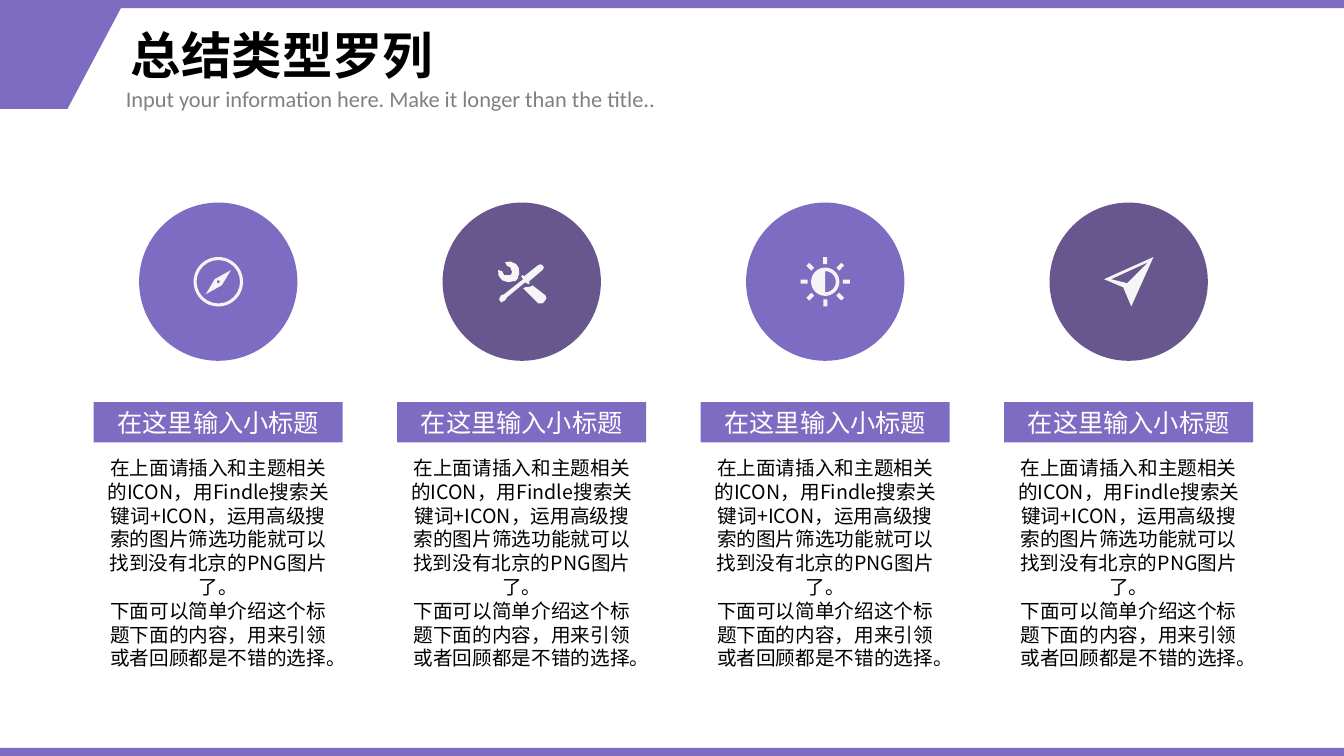
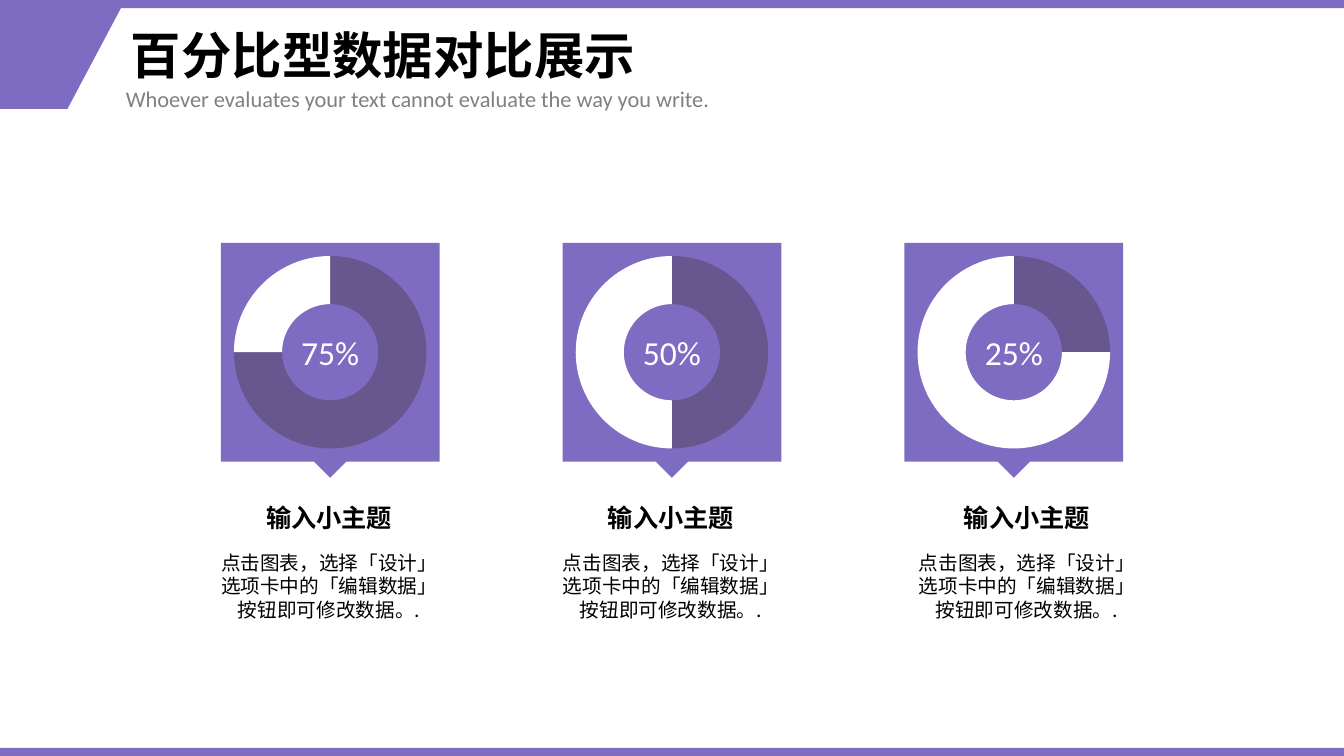
from math import cos, radians, sin

from pptx import Presentation
from pptx.chart.data import CategoryChartData
from pptx.dml.color import RGBColor
from pptx.enum.chart import XL_CHART_TYPE
from pptx.enum.shapes import MSO_SHAPE
from pptx.enum.text import MSO_ANCHOR, MSO_AUTO_SIZE, PP_ALIGN
from pptx.oxml import parse_xml
from pptx.oxml.ns import nsdecls, qn
from pptx.util import Inches, Pt

PURPLE = RGBColor(0x7E, 0x6C, 0xC3)
DARK_PURPLE = RGBColor(0x68, 0x57, 0x8F)
PALE = RGBColor(0xF5, 0xF5, 0xF5)
WHITE = RGBColor(0xFF, 0xFF, 0xFF)
BLACK = RGBColor(0, 0, 0)
GRAY = RGBColor(0x80, 0x80, 0x80)
CJK = "Noto Sans CJK SC"
LATIN = "Calibri"
WIDTH, HEIGHT, BAND = 13.33, 7.5, 0.08
COLUMN_WIDTH = 2.47

# Icon outlines, in hundredths of an inch on a 49 by 49 grid
ICON_SIZE = 0.49
MIDDLE = 24.5
NEEDLE = [(12, 37), (28, 28), (37, 13), (21, 22)]
WRENCH_HEAD = [(5, 23), (11, 25), (16, 24), (18, 24), (21, 21), (21, 19), (22, 17),
               (21.6, 11), (19, 7), (13.5, 4.5), (8, 5), (10, 9), (13, 10), (15, 15),
               (14, 17), (13, 18), (7, 18), (5, 14), (1, 13), (1.5, 18.5)]
WRENCH_HANDLE = [(48, 38), (35, 28), (34, 29), (30, 30), (28, 30), (26, 31),
                 (41, 46), (45, 46), (47, 44), (49, 41)]
SCREWDRIVER = [(29, 26), (32, 27), (32, 24), (45, 13), (46.5, 10.5), (45, 8), (43, 7.3),
               (41, 8), (27, 19), (25, 18), (24, 19.5), (25, 21), (26, 22), (7, 37),
               (4, 38), (2, 42), (4, 45), (8, 43), (10, 40), (28, 25)]
PLANE = [(0, 22), (19, 30), (27, 49), (49, 0)]
PLANE_FOLD = [(23, 26), (7, 22), (44, 5)]


def arc(radius, start=0, end=360):
    """Points along an arc around the middle of the icon grid, 0 being to the right."""
    return [(MIDDLE + radius * cos(radians(a)), MIDDLE + radius * sin(radians(a)))
            for a in range(start, end + 1, 10)]


class Deck:
    def __init__(self):
        self.prs = Presentation()
        self.prs.slide_width = Inches(WIDTH)
        self.prs.slide_height = Inches(HEIGHT)
        self.slide = None

    def new_slide(self, title, subtitle):
        self.slide = self.prs.slides.add_slide(self.prs.slide_layouts[6])
        self.outline([[(0, BAND), (1.2, BAND), (0.67, 1.08), (0, 1.08)]], PURPLE)
        for top in (0, HEIGHT - BAND):
            self.shape(MSO_SHAPE.RECTANGLE, 0, top, WIDTH, BAND, PURPLE)
        heading = self.text(1.2, BAND, 11.22, 1, [title], 36, bold=True,
                            align=PP_ALIGN.LEFT, spacing=0.9)
        heading.text_frame.vertical_anchor = MSO_ANCHOR.MIDDLE
        self.text(1.15, 0.8, 7.8, 0.37, [subtitle], 16, GRAY, LATIN,
                  align=PP_ALIGN.LEFT, spacing=1.0)

    def paint(self, shape, color):
        shape.shadow.inherit = False
        shape.fill.solid()
        shape.fill.fore_color.rgb = color
        shape.line.fill.background()
        return shape

    def shape(self, preset, left, top, width, height, color, rotation=0):
        shape = self.slide.shapes.add_shape(
            preset, Inches(left), Inches(top), Inches(width), Inches(height))
        shape.rotation = rotation
        return self.paint(shape, color)

    def outline(self, contours, color):
        """Closed polygon; every contour after the first is a hole."""
        contours = [[(Inches(x), Inches(y)) for x, y in contour] for contour in contours]
        builder = self.slide.shapes.build_freeform(*contours[0][0], scale=1.0)
        for index, contour in enumerate(contours):
            if index:
                builder.move_to(*contour[0])
            builder.add_line_segments(contour[1:], close=True)
        return self.paint(builder.convert_to_shape(), color)

    def fill_text(self, frame, paragraphs, size, color=BLACK, font=CJK, bold=False,
                  align=PP_ALIGN.CENTER, spacing=None):
        frame.text = "\n".join(paragraphs)
        for paragraph in frame.paragraphs:
            paragraph.alignment = align
            paragraph.line_spacing = spacing or Pt(round(size * 1.22))
            for run in paragraph.runs:
                run.font.size = Pt(size)
                run.font.bold = bold
                run.font.color.rgb = color
                run.font.name = font
                run.font._element.append(
                    parse_xml(f'<a:ea {nsdecls("a")} typeface="{font}"/>'))

    def text(self, left, top, width, height, paragraphs, size, color=BLACK, font=CJK,
             wrap=True, **style):
        box = self.slide.shapes.add_textbox(
            Inches(left), Inches(top), Inches(width), Inches(height))
        box.text_frame.word_wrap = wrap
        box.text_frame.auto_size = MSO_AUTO_SIZE.NONE
        self.fill_text(box.text_frame, paragraphs, size, color, font, **style)
        return box

    def label_bar(self, left, top, label):
        bar = self.shape(MSO_SHAPE.RECTANGLE, left, top, COLUMN_WIDTH, 0.4, PURPLE)
        bar.text_frame.word_wrap = False
        bar.text_frame.vertical_anchor = MSO_ANCHOR.TOP
        self.fill_text(bar.text_frame, [label], 18, WHITE)

    def icon_part(self, left, top, *contours):
        return self.outline([[(left + x / 100, top + y / 100) for x, y in contour]
                             for contour in contours], PALE)

    def compass(self, left, top):
        ring = self.shape(MSO_SHAPE.DONUT, left, top, ICON_SIZE, ICON_SIZE, PALE)
        ring.adjustments[0] = 0.06
        return [ring, self.icon_part(left, top, NEEDLE, arc(1.5))]

    def tools(self, left, top):
        return [self.icon_part(left, top, part)
                for part in (WRENCH_HEAD, WRENCH_HANDLE, SCREWDRIVER)]

    def sun(self, left, top):
        parts = [self.icon_part(left, top, arc(14), arc(10.5, -90, 90))]
        ray_width, ray_length, distance = 0.04, 0.07, 0.21
        for angle in range(0, 360, 45):
            x = left + ICON_SIZE / 2 + distance * sin(radians(angle))
            y = top + ICON_SIZE / 2 - distance * cos(radians(angle))
            parts.append(self.shape(
                MSO_SHAPE.RECTANGLE, x - ray_width / 2, y - ray_length / 2,
                ray_width, ray_length, PALE, angle))
        return parts

    def plane(self, left, top):
        return [self.icon_part(left, top, PLANE, PLANE_FOLD)]

    def icon(self, draw, left, top):
        parts = draw(left, top)
        if len(parts) > 1:
            self.slide.shapes.add_group_shape(parts)

    def doughnut(self, left, top, size, percent):
        data = CategoryChartData()
        data.categories = ["1", "2"]
        data.add_series("Series 1", (percent, 100 - percent))
        chart = self.slide.shapes.add_chart(
            XL_CHART_TYPE.DOUGHNUT, Inches(left), Inches(top),
            Inches(size), Inches(size), data).chart
        chart.has_title = False
        chart.has_legend = False
        chart.font.size = Pt(10)
        chart.font.name = LATIN
        chart.font.color.rgb = BLACK
        plot = chart.plots[0]
        plot.has_data_labels = False
        for index, color in enumerate((DARK_PURPLE, WHITE)):
            point = plot.series[0].points[index].format
            point.fill.solid()
            point.fill.fore_color.rgb = color
            point.line.fill.background()

        root = chart.element
        for hole in root.iter(qn("c:holeSize")):
            hole.set("val", "80")
        root.find(qn("c:chart")).addnext(parse_xml(
            f'<c:spPr {nsdecls("c", "a")}><a:solidFill><a:srgbClr val="{PURPLE}"/>'
            '</a:solidFill><a:ln><a:noFill/></a:ln></c:spPr>'))
        plot_area = root.find(qn("c:chart")).find(qn("c:plotArea"))
        for layout in plot_area.findall(qn("c:layout")):
            plot_area.remove(layout)
        plot_area.insert(0, parse_xml(
            f'<c:layout {nsdecls("c")}><c:manualLayout><c:layoutTarget val="inner"/>'
            '<c:xMode val="edge"/><c:yMode val="edge"/><c:x val="0.06"/>'
            '<c:y val="0.06"/><c:w val="0.88"/><c:h val="0.88"/>'
            '</c:manualLayout></c:layout>'))


def summary_slide(deck):
    deck.new_slide("总结类型罗列",
                   "Input your information here. Make it longer than the title..")
    details = [
        "在上面请插入和主题相关的ICON，用Findle搜索关键词+ICON，"
        "运用高级搜索的图片筛选功能就可以找到没有北京的PNG图片了。",
        "下面可以简单介绍这个标题下面的内容，用来引领或者回顾都是不错的选择。",
    ]
    first_left, pitch, disc, disc_top = 0.93, 3.01, 1.57, 2.01
    inset = (disc - ICON_SIZE) / 2
    for index, icon in enumerate((deck.compass, deck.tools, deck.sun, deck.plane)):
        left = first_left + index * pitch
        disc_left = left + (COLUMN_WIDTH - disc) / 2
        deck.shape(MSO_SHAPE.OVAL, disc_left, disc_top, disc, disc,
                   DARK_PURPLE if index % 2 else PURPLE)
        deck.icon(icon, disc_left + inset, disc_top + inset)
        deck.label_bar(left, 3.99, "在这里输入小标题")
        deck.text(left, 4.47, COLUMN_WIDTH, 2.22, details, 14)


def percentage_slide(deck):
    deck.new_slide("百分比型数据对比展示",
                   "Whoever evaluates your text cannot evaluate the way you write.")
    size, top, pitch = 2.17, 2.41, 3.39
    pointer, value_width = 0.24, 0.91
    for index, (percent, caption_left) in enumerate(((75, 2.03), (50, 5.42), (25, 8.95))):
        left = 2.19 + index * pitch
        center = left + size / 2
        deck.doughnut(left, top, size, percent)
        deck.text(center - value_width / 2, 3.24, value_width, 0.5, [f"{percent}%"],
                  24, WHITE, LATIN, wrap=False, spacing=1.0)
        deck.shape(MSO_SHAPE.RIGHT_TRIANGLE, center - pointer / 2, 4.45,
                   pointer, pointer, PURPLE, 315)
        deck.text(caption_left, 4.93, COLUMN_WIDTH, 0.4, ["输入小主题"], 18,
                  wrap=False, bold=True)
        deck.text(caption_left, 5.41, COLUMN_WIDTH, 0.81,
                  ["点击图表，选择「设计」选项卡中的「编辑数据」按钮即可修改数据。."], 14)


def main():
    deck = Deck()
    summary_slide(deck)
    percentage_slide(deck)
    deck.prs.save("out.pptx")


if __name__ == "__main__":
    main()
